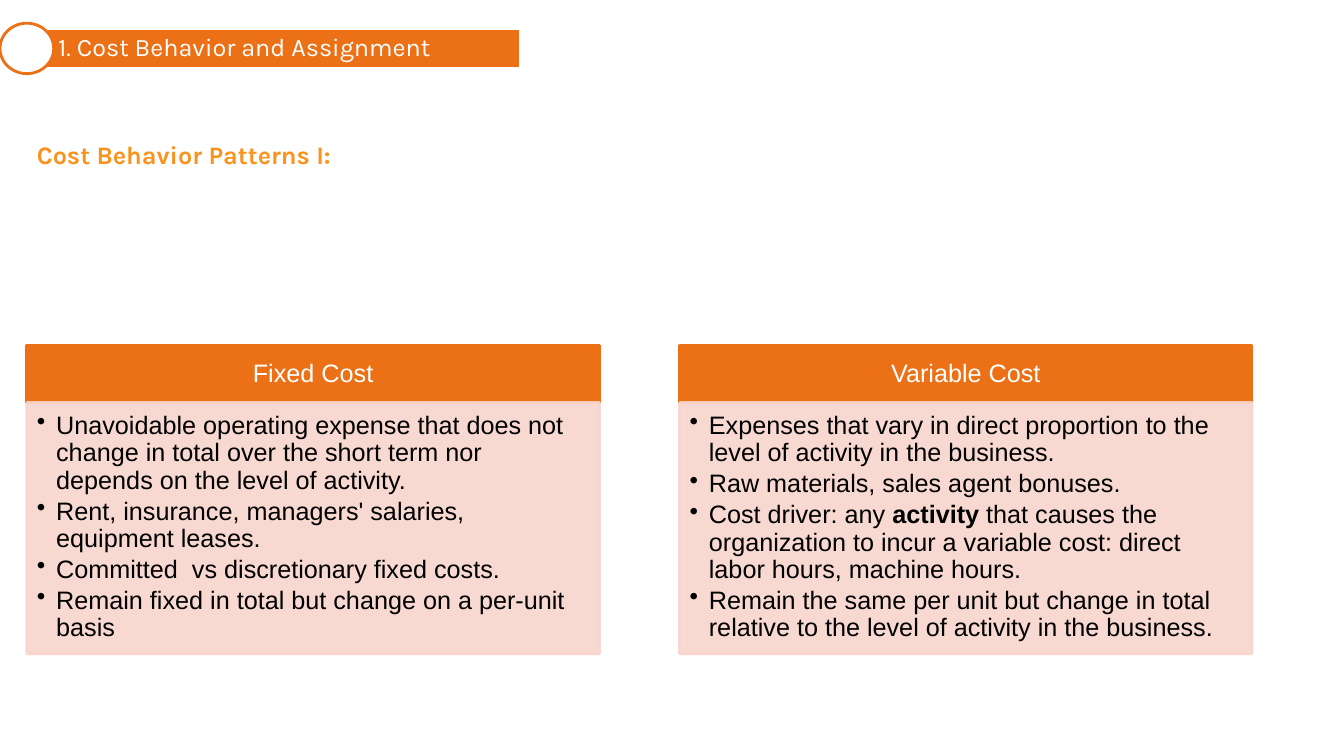
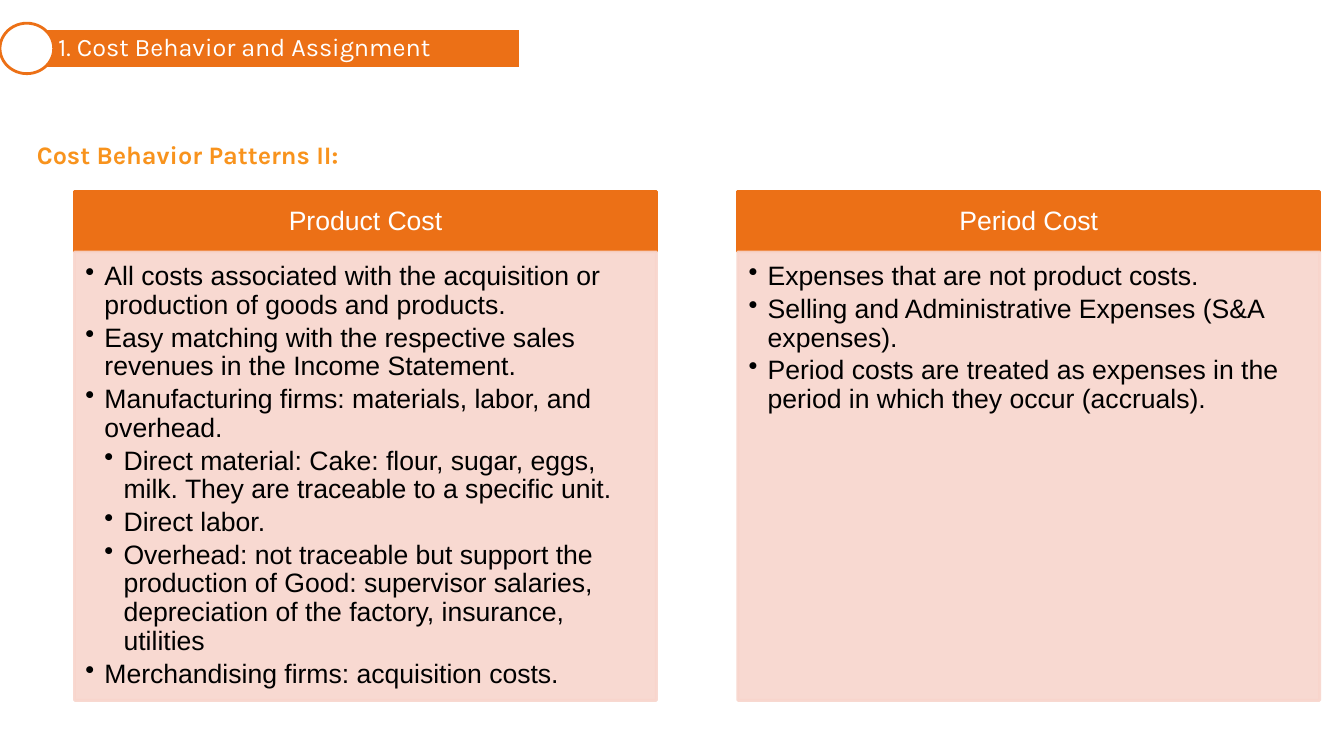
from dataclasses import dataclass

from lxml.etree import SubElement
from pptx import Presentation
from pptx.dml.color import RGBColor
from pptx.enum.shapes import MSO_SHAPE
from pptx.enum.text import MSO_ANCHOR, MSO_AUTO_SIZE, PP_ALIGN
from pptx.oxml.ns import qn
from pptx.util import Inches, Pt


@dataclass(frozen=True)
class Theme:
    width: float = 13.33
    height: float = 7.5
    orange: str = "EC7016"
    amber: str = "F8931D"
    blush: str = "F8D5CC"
    white: str = "FFFFFF"
    black: str = "000000"
    title_font: str = "Karla"
    body_font: str = "Arial"
    title_size: int = 18
    outline: int = 2
    line_spacing: float = 0.9
    bullet_indent: float = 0.19
    gap_share: float = 0.14
    panel_opacity: int = 90


@dataclass(frozen=True)
class Layout:
    left: float
    top: float
    width: float
    header: float
    body: float
    size: int


THEME = Theme()
MARGIN = 2

SLIDES = [
    ("Cost Behavior Patterns I:", Layout(MARGIN, 45.73, 42.6, 7.53, 33.2, 18), [
        ("Fixed Cost", [
            (1, "Unavoidable operating expense that does not change in total over the short term nor depends on the level of activity."),
            (1, "Rent, insurance, managers' salaries, equipment leases."),
            (1, "Committed  vs discretionary fixed costs."),
            (1, "Remain fixed in total but change on a per-unit basis"),
        ]),
        ("Variable Cost", [
            (1, "Expenses that vary in direct proportion to the level of activity in the business."),
            (1, "Raw materials, sales agent bonuses."),
            (1, "Cost driver: any *activity* that causes the organization to incur a variable cost: direct labor hours, machine hours."),
            (1, "Remain the same per unit but change in total relative to the level of activity in the business."),
        ]),
    ]),
    ("Cost Behavior Patterns II:", Layout(5.55, 25.33, 43.29, 8, 59.33, 19), [
        ("Product Cost", [
            (1, "All costs associated with the acquisition or production of goods and products."),
            (1, "Easy matching with the respective sales revenues in the Income Statement."),
            (1, "Manufacturing firms: materials, labor, and overhead."),
            (2, "Direct material: Cake: flour, sugar, eggs, milk. They are traceable to a specific unit."),
            (2, "Direct labor."),
            (2, "Overhead: not traceable but support the production of Good: supervisor salaries, depreciation of the factory, insurance, utilities"),
            (1, "Merchandising firms: acquisition costs."),
        ]),
        ("Period Cost", [
            (1, "Expenses that are not product costs."),
            (1, "Selling and Administrative Expenses (S&A expenses)."),
            (1, "Period costs are treated as expenses in the period in which they occur (accruals)."),
        ]),
    ]),
]


def across(percent):
    return Inches(THEME.width * percent / 100)


def down(percent):
    return Inches(THEME.height * percent / 100)


def place(left, top, width, height):
    return across(left), down(top), across(width), down(height)


def add_bullet(para, level):
    para.level = level
    properties = para._p.get_or_add_pPr()
    properties.set("marL", str(Inches(THEME.bullet_indent * level)))
    properties.set("indent", str(-Inches(THEME.bullet_indent)))
    SubElement(properties, qn("a:buChar")).set("char", "•")


def write_text(box, lines, *, size, color, font=THEME.body_font, bold=False,
               align=PP_ALIGN.LEFT, anchor=MSO_ANCHOR.TOP,
               insets=(0.1, 0.05, 0.1, 0.05), spacing=None, after=0):
    frame = box.text_frame
    frame.word_wrap = True
    frame.vertical_anchor = anchor
    (frame.margin_left, frame.margin_top,
     frame.margin_right, frame.margin_bottom) = map(Inches, insets)
    for index, (level, text) in enumerate(lines):
        para = frame.add_paragraph() if index else frame.paragraphs[0]
        para.alignment = align
        para.line_spacing = spacing
        para.space_after = Pt(after)
        if level:
            add_bullet(para, level)
        for position, part in enumerate(text.split("*")):
            span = para.add_run()
            span.text = part
            span.font.name = font
            span.font.size = Pt(size)
            span.font.bold = bold or position % 2 == 1
            span.font.color.rgb = RGBColor.from_string(color)


def add_block(page, kind, area, fill, line, opacity=100):
    block = page.shapes.add_shape(kind, *place(*area))
    block.shadow.inherit = False
    block.fill.solid()
    block.fill.fore_color.rgb = RGBColor.from_string(fill)
    block.line.color.rgb = RGBColor.from_string(line)
    block.line.width = Pt(THEME.outline)
    if opacity < 100:
        for color in block._element.spPr.iter(qn("a:srgbClr")):
            SubElement(color, qn("a:alpha")).set("val", str(opacity * 1000))
    return block


def add_banner(page, text):
    band = add_block(page, MSO_SHAPE.RECTANGLE, (MARGIN, 3.73, 36.76, 5.33),
                     THEME.orange, THEME.white)
    write_text(band, [(0, text)], size=THEME.title_size, color=THEME.white,
               font=THEME.title_font, anchor=MSO_ANCHOR.MIDDLE,
               insets=(0.31, 0.05, 0.05, 0.05),
               spacing=THEME.line_spacing, after=6.3)
    add_block(page, MSO_SHAPE.OVAL, (0, 3.07, 2 * MARGIN, 6.67),
              THEME.white, THEME.orange)


def add_subtitle(page, text):
    box = page.shapes.add_textbox(*place(MARGIN, 17.73, 85.6, 5.33))
    write_text(box, [(0, text)], size=THEME.title_size, color=THEME.amber,
               font=THEME.title_font, bold=True)
    box.text_frame.auto_size = MSO_AUTO_SIZE.SHAPE_TO_FIT_TEXT


def add_panel(page, layout, column, heading, items):
    left = layout.left + column * layout.width * (1 + THEME.gap_share)
    header = add_block(page, MSO_SHAPE.RECTANGLE,
                       (left, layout.top, layout.width, layout.header),
                       THEME.orange, THEME.orange)
    write_text(header, [(0, heading)], size=layout.size, color=THEME.white,
               align=PP_ALIGN.CENTER, anchor=MSO_ANCHOR.MIDDLE,
               insets=(0.14, 0.08, 0.14, 0.08),
               spacing=THEME.line_spacing, after=layout.size * 0.35)
    body = add_block(page, MSO_SHAPE.RECTANGLE,
                     (left, layout.top + layout.header, layout.width, layout.body),
                     THEME.blush, THEME.blush, THEME.panel_opacity)
    inset = layout.size * 0.0056
    write_text(body, items, size=layout.size, color=THEME.black,
               insets=(inset, inset, 0.14, 0.16),
               spacing=THEME.line_spacing, after=layout.size * 0.15)


def main():
    deck = Presentation()
    deck.slide_width = Inches(THEME.width)
    deck.slide_height = Inches(THEME.height)
    for subtitle, layout, panels in SLIDES:
        page = deck.slides.add_slide(deck.slide_layouts[6])
        add_banner(page, "1. Cost Behavior and Assignment")
        add_subtitle(page, subtitle)
        for column, (heading, items) in enumerate(panels):
            add_panel(page, layout, column, heading, items)
    deck.save("out.pptx")


if __name__ == "__main__":
    main()
